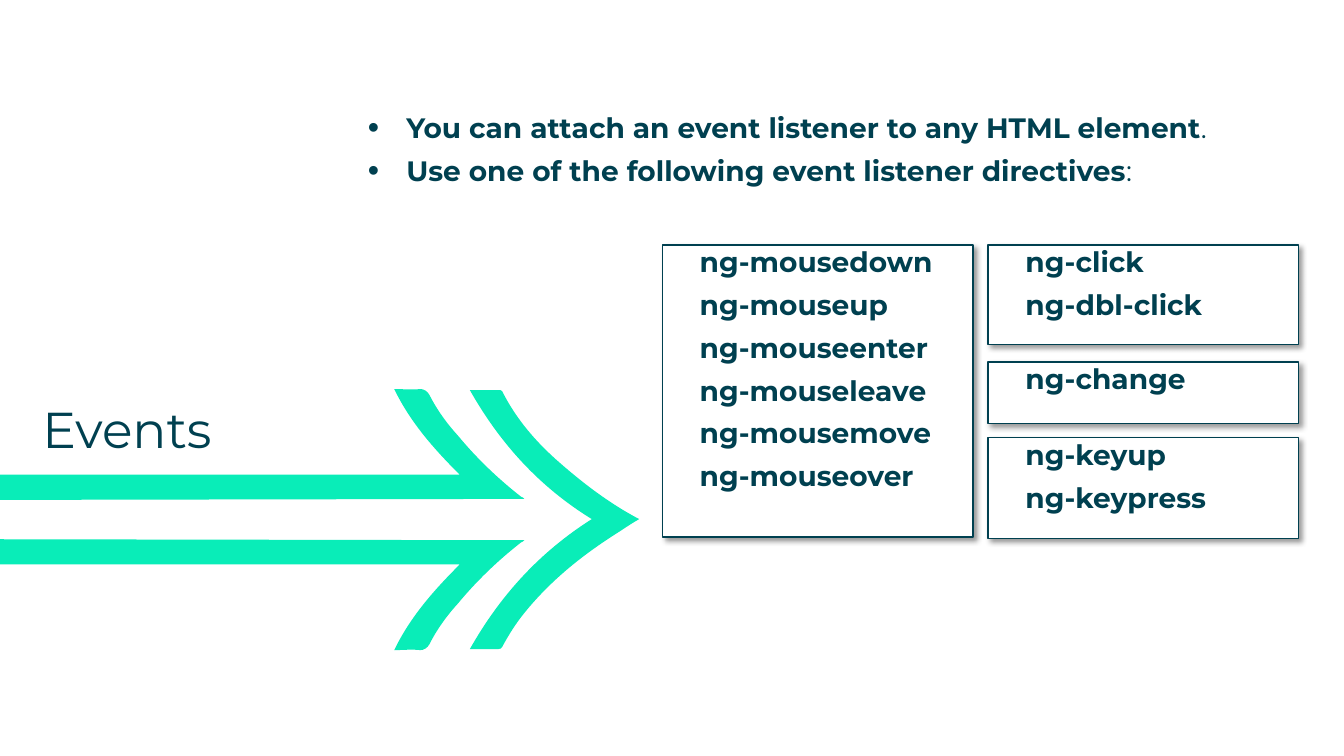
from lxml.etree import SubElement
from pptx import Presentation
from pptx.dml.color import RGBColor
from pptx.enum.shapes import MSO_SHAPE
from pptx.enum.text import MSO_ANCHOR, PP_ALIGN
from pptx.oxml.ns import qn
from pptx.util import Inches, Pt

FONT = "Montserrat"
INK, MINT, WHITE, BLACK = "004050", "09EDB8", "FFFFFF", "000000"

TITLE = "Events"
POINTS = [
    ("You can attach an event listener to any HTML element", "."),
    ("Use one of the following event listener directives", ":"),
]
MOUSE_COLUMN, INPUT_COLUMN, COLUMN_WIDTH = 6.57, 9.8, 3.08
DIRECTIVES = [
    (INPUT_COLUMN, 2.43, 0.99, ["ng-click", "ng-dbl-click"]),
    (MOUSE_COLUMN, 2.43, 2.9, ["ng-mousedown", "ng-mouseup", "ng-mouseenter",
                               "ng-mouseleave", "ng-mousemove", "ng-mouseover"]),
    (INPUT_COLUMN, 4.34, 1.0, ["ng-keyup", "ng-keypress"]),
    (INPUT_COLUMN, 3.59, 0.61, ["ng-change"]),
]

ARROW_AXIS = 5.155
SHAFT = [
    [(5.2, 4.95)],
    [(-0.01, 4.96)],
    [(-0.01, 4.88), (-0.01, 4.79), (-0.01, 4.71)],
    [(4.56, 4.71)],
    [(4.3, 4.45), (4.07, 4.19), (3.91, 3.86)],
    [(4, 3.86), (4.08, 3.87), (4.17, 3.86)],
    [(4.2, 3.86), (4.24, 3.88), (4.26, 3.92)],
    [(4.33, 4.06), (4.43, 4.2), (4.54, 4.32)],
    [(4.73, 4.55), (4.94, 4.75), (5.17, 4.93)],
    [(5.18, 4.93), (5.19, 4.94), (5.2, 4.95)],
]
HEAD = [
    [(5.87, 5.15)],
    [(5.35, 4.83), (4.96, 4.4), (4.66, 3.87)],
    [(4.66, 3.87), (4.67, 3.87), (4.68, 3.87)],
    [(4.77, 3.87), (4.86, 3.87), (4.94, 3.87)],
    [(4.96, 3.87), (4.97, 3.87), (4.98, 3.88)],
    [(5.12, 4.16), (5.32, 4.39), (5.55, 4.59)],
    [(5.79, 4.8), (6.04, 4.99), (6.32, 5.14)],
    [(6.34, 5.15)],
    [(6.27, 5.19), (6.21, 5.23), (6.15, 5.27)],
    [(5.8, 5.49), (5.48, 5.74), (5.21, 6.07)],
    [(5.12, 6.18), (5.05, 6.29), (4.98, 6.42)],
    [(4.98, 6.43), (4.96, 6.44), (4.94, 6.44)],
    [(4.85, 6.44), (4.76, 6.44), (4.66, 6.44)],
    [(4.96, 5.91), (5.35, 5.48), (5.87, 5.15)],
]
MIRRORED_SHAFT = [[(x, 2 * ARROW_AXIS - y) for x, y in segment] for segment in SHAFT]


def color(hex_code):
    return RGBColor.from_string(hex_code)


def add_outline(slide, segments):
    ends = [(Inches(x), Inches(y)) for x, y in (segment[-1] for segment in segments)]
    builder = slide.shapes.build_freeform(*ends[0], scale=1.0)
    builder.add_line_segments(ends[1:], close=True)
    band = builder.convert_to_shape()
    strokes = list(band._element.iter(qn("a:lnTo")))
    for stroke, segment in zip(strokes, segments[1:]):
        if len(segment) == 3:
            bend(stroke, segment, band.left, band.top)
    band.shadow.inherit = False
    band.fill.solid()
    band.fill.fore_color.rgb = color(MINT)
    band.line.fill.background()


def bend(stroke, controls, left, top):
    outline = stroke.getparent()
    curve = SubElement(outline, qn("a:cubicBezTo"))
    for x, y in controls:
        SubElement(curve, qn("a:pt"), x=str(Inches(x) - left), y=str(Inches(y) - top))
    outline.replace(stroke, curve)


def prepare_frame(shape, anchor):
    frame = shape.text_frame
    frame.word_wrap = True
    frame.vertical_anchor = anchor
    frame.margin_left = frame.margin_right = frame.margin_top = frame.margin_bottom = 0
    return frame


def add_text_box(slide, left, top, width, height, anchor=MSO_ANCHOR.TOP):
    box = slide.shapes.add_textbox(Inches(left), Inches(top), Inches(width), Inches(height))
    return prepare_frame(box, anchor)


def add_run(paragraph, text, size=20, bold=False):
    run = paragraph.add_run()
    run.text = text
    run.font.name = FONT
    run.font.size = Pt(size)
    run.font.bold = bold
    run.font.color.rgb = color(INK)


def add_paragraph(frame, index, margin, indent):
    paragraph = frame.add_paragraph() if index else frame.paragraphs[0]
    paragraph.alignment = PP_ALIGN.LEFT
    paragraph.space_after = Pt(6.5)
    properties = paragraph._p.get_or_add_pPr()
    properties.set("marL", str(Inches(margin)))
    properties.set("indent", str(Inches(indent)))
    return paragraph


def add_bullet(paragraph):
    properties = paragraph._p.get_or_add_pPr()
    SubElement(properties, qn("a:buSzPct")).set("val", "115000")
    SubElement(properties, qn("a:buFont")).set("typeface", "Arial")
    SubElement(properties, qn("a:buChar")).set("char", "•")


def add_shadow(shape):
    shape.shadow.inherit = False
    effects = shape._element.spPr.find(qn("a:effectLst"))
    shadow = SubElement(effects, qn("a:outerShdw"), blurRad=str(Pt(4)), dist=str(Pt(3)),
                        dir=str(45 * 60000), algn="tl", rotWithShape="0")
    tint = SubElement(shadow, qn("a:srgbClr"), val=BLACK)
    SubElement(tint, qn("a:alpha"), val="40000")


def add_directives(slide, left, top, height, names):
    card = slide.shapes.add_shape(MSO_SHAPE.RECTANGLE, Inches(left), Inches(top),
                                  Inches(COLUMN_WIDTH), Inches(height))
    card.fill.solid()
    card.fill.fore_color.rgb = color(WHITE)
    card.line.color.rgb = color(INK)
    card.line.width = Pt(1)
    add_shadow(card)
    frame = prepare_frame(card, MSO_ANCHOR.TOP)
    for index, name in enumerate(names):
        paragraph = add_paragraph(frame, index, 0.37, 0)
        paragraph.level = 1
        add_run(paragraph, name, bold=True)


def main():
    deck = Presentation()
    deck.slide_width, deck.slide_height = Inches(13.33), Inches(7.5)
    slide = deck.slides.add_slide(deck.slide_layouts[6])

    for segments in (SHAFT, HEAD, MIRRORED_SHAFT):
        add_outline(slide, segments)

    title = add_text_box(slide, 0.42, 1.36, 4.04, 3.19, MSO_ANCHOR.BOTTOM)
    add_run(title.paragraphs[0], TITLE, size=36)

    points = add_text_box(slide, 3.65, 1.1, 9.27, 1.16)
    for index, (statement, ending) in enumerate(POINTS):
        paragraph = add_paragraph(points, index, 0.38, -0.38)
        add_bullet(paragraph)
        add_run(paragraph, statement, bold=True)
        add_run(paragraph, ending)

    for group in DIRECTIVES:
        add_directives(slide, *group)

    deck.save("out.pptx")


if __name__ == "__main__":
    main()
